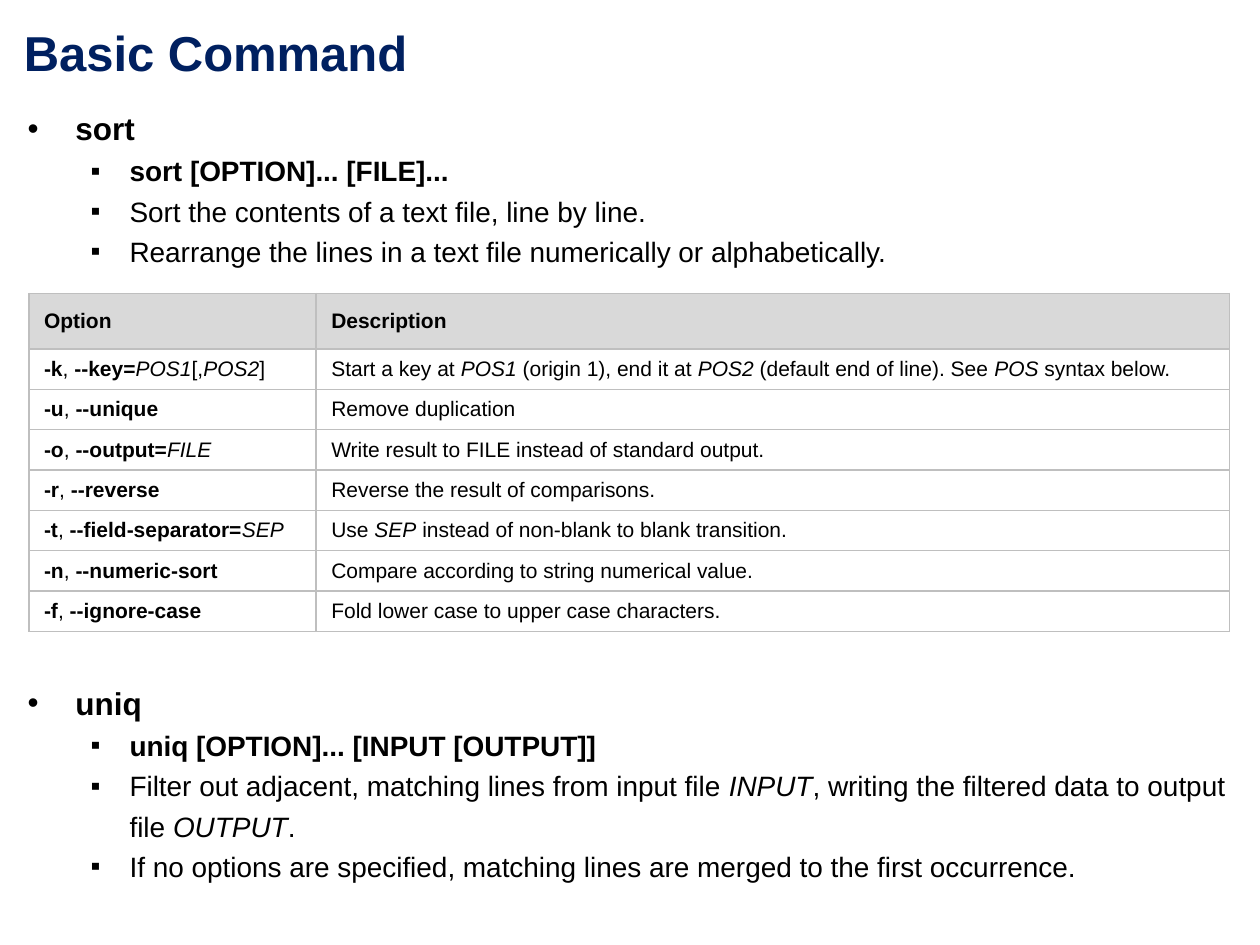
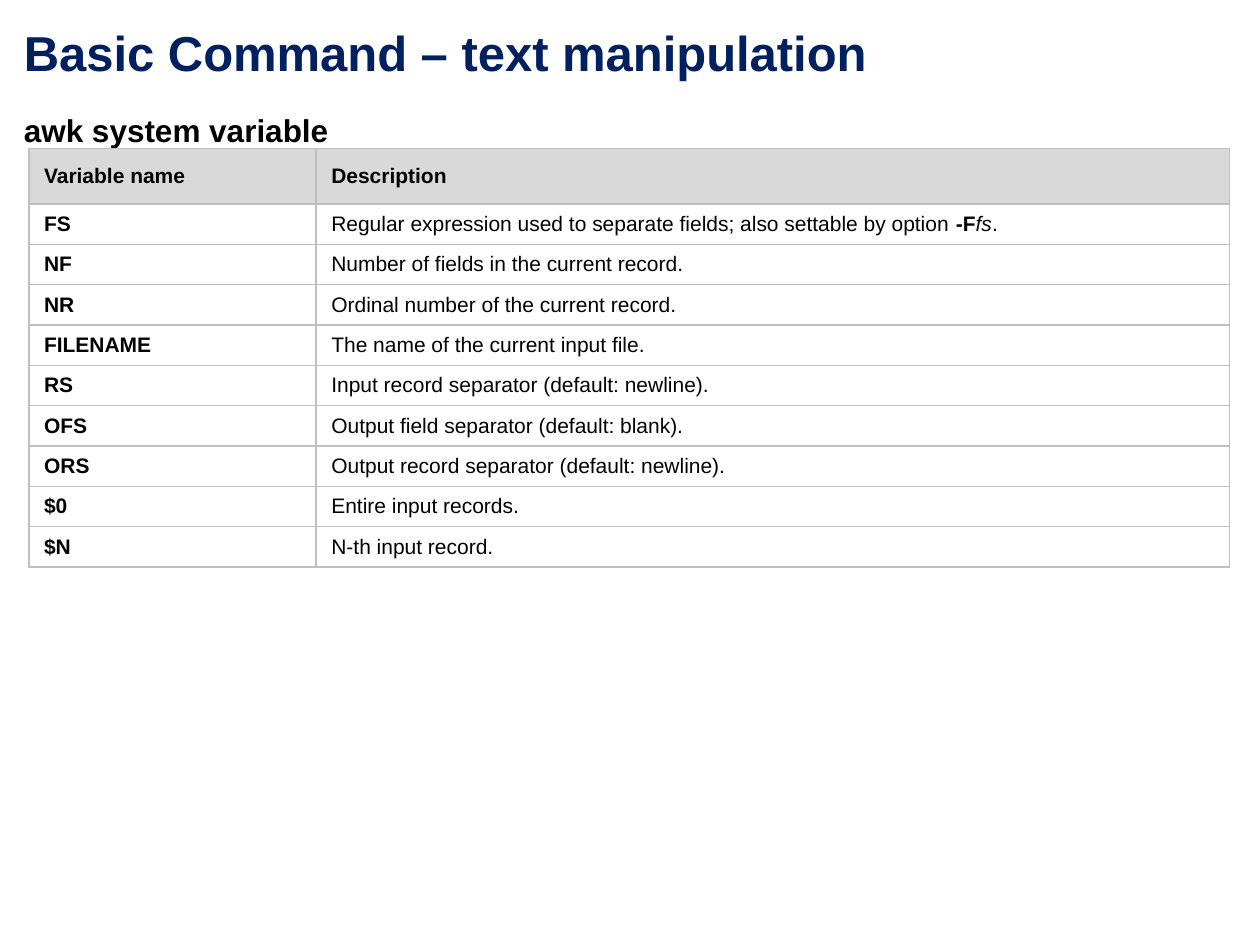
import pptx
import pptx.dml.color
import pptx.enum.text
import pptx.oxml.ns
import pptx.util
from lxml import etree

Inches = pptx.util.Inches
Pt = pptx.util.Pt
RGBColor = pptx.dml.color.RGBColor

NAVY = RGBColor(0x00, 0x20, 0x60)
BLACK = RGBColor(0x00, 0x00, 0x00)
HEADER_GRAY = RGBColor(0xD9, 0xD9, 0xD9)
BORDER_GRAY = RGBColor(0xBF, 0xBF, 0xBF)
FONT = "Arial"

COLUMN_WIDTHS = (2.28, 7.25)
HEADER_HEIGHT = 0.43
ROW_HEIGHT = 0.305
LINE_SPACING = 1.2

BULLETS = (
    {"character": "•", "margin": 0.38, "indent": -0.38, "size": 18},
    {"character": "▪", "margin": 0.81, "indent": -0.31, "size": 16},
)

SORT_NOTES = (
    (0, "*sort*"),
    (1, "*sort [OPTION]... [FILE]...*"),
    (1, "Sort the contents of a text file, line by line."),
    (1, "Rearrange the lines in a text file numerically or alphabetically."),
)

UNIQ_NOTES = (
    (0, "*uniq*"),
    (1, "*uniq [OPTION]... [INPUT [OUTPUT]]*"),
    (1, "Filter out adjacent, matching lines from input file _INPUT_, "
        "writing the filtered data to output file _OUTPUT_."),
    (1, "If no options are specified, matching lines are merged to the first occurrence."),
)

SORT_OPTIONS = (
    ("*Option*", "*Description*"),
    ("*-k*, *--key=*_POS1_[,_POS2_]",
     "Start a key at _POS1_ (origin 1), end it at _POS2_ (default end of line). "
     "See _POS_ syntax below."),
    ("*-u*, *--unique*", "Remove duplication"),
    ("*-o*, *--output=*_FILE_", "Write result to FILE instead of standard output."),
    ("*-r*, *--reverse*", "Reverse the result of comparisons."),
    ("*-t*, *--field-separator=*_SEP_", "Use _SEP_ instead of non-blank to blank transition."),
    ("*-n*, *--numeric-sort*", "Compare according to string numerical value."),
    ("*-f*, *--ignore-case*", "Fold lower case to upper case characters."),
)

AWK_VARIABLES = (
    ("*Variable name*", "*Description*"),
    ("*FS*", "Regular expression used to separate fields; also settable by option *-F*_fs_."),
    ("*NF*", "Number of fields in the current record."),
    ("*NR*", "Ordinal number of the current record."),
    ("*FILENAME*", "The name of the current input file."),
    ("*RS*", "Input record separator (default: newline)."),
    ("*OFS*", "Output field separator (default: blank)."),
    ("*ORS*", "Output record separator (default: newline)."),
    ("*$0*", "Entire input records."),
    ("*$N*", "N-th input record."),
)


def write_rich_text(paragraph, text, size, color=BLACK):
    """Write text in which *stars* mark bold and _underscores_ mark italic."""
    for bold_index, chunk in enumerate(text.split("*")):
        for italic_index, piece in enumerate(chunk.split("_")):
            if not piece:
                continue
            run = paragraph.add_run()
            run.text = piece
            run.font.name = FONT
            run.font.size = Pt(size)
            run.font.color.rgb = color
            run.font.bold = bold_index % 2 == 1
            run.font.italic = italic_index % 2 == 1


def add_text_frame(slide, left, top, width, height):
    shape = slide.shapes.add_textbox(Inches(left), Inches(top), Inches(width), Inches(height))
    shape.text_frame.word_wrap = True
    return shape.text_frame


def add_title(slide, text):
    text_frame = add_text_frame(slide, 0.09, 0.13, 7.92, 0.57)
    write_rich_text(text_frame.paragraphs[0], f"*{text}*", 28, NAVY)


def add_subtitle(slide, text):
    text_frame = add_text_frame(slide, 0.09, 0.77, 9.75, 0.43)
    paragraph = text_frame.paragraphs[0]
    paragraph.line_spacing = LINE_SPACING
    write_rich_text(paragraph, f"*{text}*", 18)


def set_bullet(paragraph, bullet):
    properties = paragraph._p.get_or_add_pPr()
    properties.set("marL", str(Inches(bullet["margin"])))
    properties.set("indent", str(Inches(bullet["indent"])))
    etree.SubElement(properties, pptx.oxml.ns.qn("a:buFont"), typeface=FONT)
    etree.SubElement(properties, pptx.oxml.ns.qn("a:buChar"), char=bullet["character"])


def add_notes(slide, left, top, width, height, notes):
    text_frame = add_text_frame(slide, left, top, width, height)
    for index, (level, text) in enumerate(notes):
        paragraph = text_frame.add_paragraph() if index else text_frame.paragraphs[0]
        paragraph.level = level
        set_bullet(paragraph, BULLETS[level])
        paragraph.line_spacing = LINE_SPACING
        write_rich_text(paragraph, text, BULLETS[level]["size"])


def set_borders(cell):
    properties = cell._tc.get_or_add_tcPr()
    for side in ("a:lnL", "a:lnR", "a:lnT", "a:lnB"):
        line = etree.SubElement(properties, pptx.oxml.ns.qn(side), w=str(Pt(1)))
        fill = etree.SubElement(line, pptx.oxml.ns.qn("a:solidFill"))
        etree.SubElement(fill, pptx.oxml.ns.qn("a:srgbClr"), val=str(BORDER_GRAY))


def format_cell(cell, text, is_header):
    set_borders(cell)
    cell.margin_left = cell.margin_right = Inches(0.12)
    cell.margin_top = cell.margin_bottom = Inches(0.12 if is_header else 0.06)
    cell.vertical_anchor = pptx.enum.text.MSO_ANCHOR.MIDDLE
    if is_header:
        cell.fill.solid()
        cell.fill.fore_color.rgb = HEADER_GRAY
    else:
        cell.fill.background()
    write_rich_text(cell.text_frame.paragraphs[0], text, 12)


def add_reference_table(slide, left, top, rows):
    height = HEADER_HEIGHT + ROW_HEIGHT * (len(rows) - 1)
    table = slide.shapes.add_table(
        len(rows), len(COLUMN_WIDTHS), Inches(left), Inches(top),
        Inches(sum(COLUMN_WIDTHS)), Inches(height)).table
    table.horz_banding = False
    for column, width in zip(table.columns, COLUMN_WIDTHS):
        column.width = Inches(width)
    for row_index, texts in enumerate(rows):
        is_header = row_index == 0
        table.rows[row_index].height = Inches(HEADER_HEIGHT if is_header else ROW_HEIGHT)
        for column_index, text in enumerate(texts):
            format_cell(table.cell(row_index, column_index), text, is_header)


def build_sort_and_uniq_slide(slide):
    add_title(slide, "Basic Command")
    add_notes(slide, 0.12, 0.76, 9.75, 1.45, SORT_NOTES)
    add_reference_table(slide, 0.23, 2.33, SORT_OPTIONS)
    add_notes(slide, 0.12, 5.32, 9.75, 1.77, UNIQ_NOTES)


def build_awk_slide(slide):
    add_title(slide, "Basic Command – text manipulation")
    add_subtitle(slide, "awk system variable")
    add_reference_table(slide, 0.23, 1.18, AWK_VARIABLES)


def main():
    presentation = pptx.Presentation()
    presentation.slide_width = Inches(10)
    presentation.slide_height = Inches(7.5)
    blank_layout = presentation.slide_layouts[6]
    for build_slide in (build_sort_and_uniq_slide, build_awk_slide):
        build_slide(presentation.slides.add_slide(blank_layout))
    presentation.save("out.pptx")


if __name__ == "__main__":
    main()
